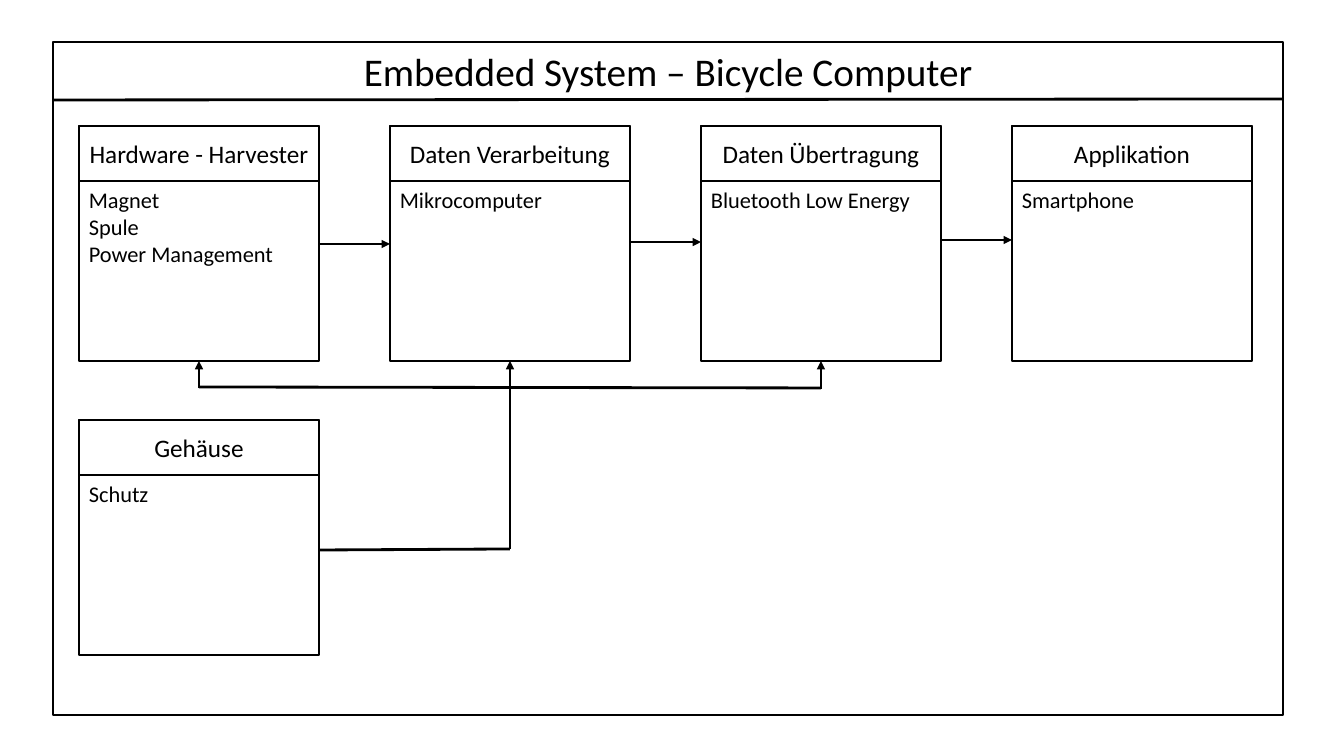
from dataclasses import dataclass
from typing import NamedTuple

import pptx
import pptx.dml.color
import pptx.enum.shapes
import pptx.enum.text
import pptx.oxml
import pptx.oxml.ns
import pptx.util

SCALE = 914400 / 100.8  # EMU per pixel
ALIGN = pptx.enum.text.PP_ALIGN
ANCHOR = pptx.enum.text.MSO_ANCHOR
FIT = pptx.enum.text.MSO_AUTO_SIZE


@dataclass(frozen=True)
class Theme:
    font: str = "Calibri"
    ink: pptx.dml.color.RGBColor = pptx.dml.color.RGBColor(0, 0, 0)
    title: int = 28
    head: int = 18
    body: int = 16
    line: int = 2


class Block(NamedTuple):
    col: int
    row: int
    head: str
    items: tuple[str, ...]


class Link(NamedTuple):
    x1: int
    y1: int
    x2: int
    y2: int
    arrow: bool = True


THEME = Theme()
LEFT, TOP, WIDTH, HEIGHT = 79, 126, 240, 235
STEP, DROP, HEAD = 311, 294, 55

BLOCKS = (
    Block(0, 0, "Hardware - Harvester", ("Magnet", "Spule", "Power Management")),
    Block(1, 0, "Daten Verarbeitung", ("Mikrocomputer",)),
    Block(2, 0, "Daten Übertragung", ("Bluetooth Low Energy",)),
    Block(3, 0, "Applikation", ("Smartphone",)),
    Block(0, 1, "Gehäuse", ("Schutz",)),
)


def emu(px: float) -> int:
    return round(px * SCALE)


def write(frame, lines: tuple[str, ...], size: int, align, anchor) -> None:
    frame.word_wrap = True
    frame.vertical_anchor = anchor
    for i, line in enumerate(lines):
        para = frame.paragraphs[0] if i == 0 else frame.add_paragraph()
        para.alignment = align
        run = para.add_run()
        run.text = line
        run.font.name = THEME.font
        run.font.size = pptx.util.Pt(size)
        run.font.color.rgb = THEME.ink


def stroke(line) -> None:
    line.color.rgb = THEME.ink
    line.width = pptx.util.Pt(THEME.line)


def box(slide, x: int, y: int, w: int, h: int):
    shape = slide.shapes.add_shape(
        pptx.enum.shapes.MSO_SHAPE.RECTANGLE, emu(x), emu(y), emu(w), emu(h))
    shape.shadow.inherit = False
    shape.fill.background()
    stroke(shape.line)
    return shape


def join(slide, link: Link) -> None:
    line = slide.shapes.add_connector(
        pptx.enum.shapes.MSO_CONNECTOR.STRAIGHT,
        emu(link.x1), emu(link.y1), emu(link.x2), emu(link.y2))
    stroke(line.line)
    if link.arrow:
        tail = pptx.oxml.parse_xml(
            f'<a:tailEnd {pptx.oxml.ns.nsdecls("a")} type="triangle"/>')
        line.line._get_or_add_ln().append(tail)
    props = line._element.spPr
    props.append(pptx.oxml.parse_xml(
        f'<a:effectLst {pptx.oxml.ns.nsdecls("a")}/>'))


def draw(slide, block: Block) -> None:
    x, y = LEFT + block.col * STEP, TOP + block.row * DROP
    box(slide, x, y, WIDTH, HEIGHT)
    head = box(slide, x, y, WIDTH, HEAD)
    write(head.text_frame, (block.head,), THEME.head, ALIGN.CENTER, ANCHOR.MIDDLE)
    tall = 9 + 29 * len(block.items)
    body = slide.shapes.add_textbox(emu(x), emu(y + HEAD), emu(WIDTH), emu(tall))
    write(body.text_frame, block.items, THEME.body, ALIGN.LEFT, ANCHOR.TOP)
    body.text_frame.auto_size = FIT.SHAPE_TO_FIT_TEXT


deck = pptx.Presentation()
deck.slide_width, deck.slide_height = emu(1344), emu(756)
slide = deck.slides.add_slide(deck.slide_layouts[5])

# Frame and title
title = slide.shapes.title
title.left, title.top = emu(53), emu(42)
title.width, title.height = emu(1230), emu(57)
write(title.text_frame, ("Embedded System – Bicycle Computer",),
      THEME.title, ALIGN.CENTER, ANCHOR.TOP)
title.text_frame.auto_size = FIT.NONE
box(slide, 53, 42, 1230, 673)
join(slide, Link(53, 100, 1283, 99, False))

# Blocks
for block in BLOCKS:
    draw(slide, block)

# Arrows between neighbours
for i in range(3):
    edge, y = LEFT + i * STEP + WIDTH, 244 - 2 * i
    join(slide, Link(edge, y, edge + STEP - WIDTH, y))

# Arrows up into the blocks, then the lines that feed them
mids = [LEFT + i * STEP + WIDTH // 2 for i in range(3)]
base = TOP + HEIGHT
for mid, low in zip(mids, (388, 387, 389)):
    join(slide, Link(mid, low, mid, base))
join(slide, Link(mids[0], 387, mids[2], 388, False))
join(slide, Link(mids[1], 387, mids[1], 549, False))
join(slide, Link(mids[1], 549, LEFT + WIDTH, 550, False))

deck.save("out.pptx")
